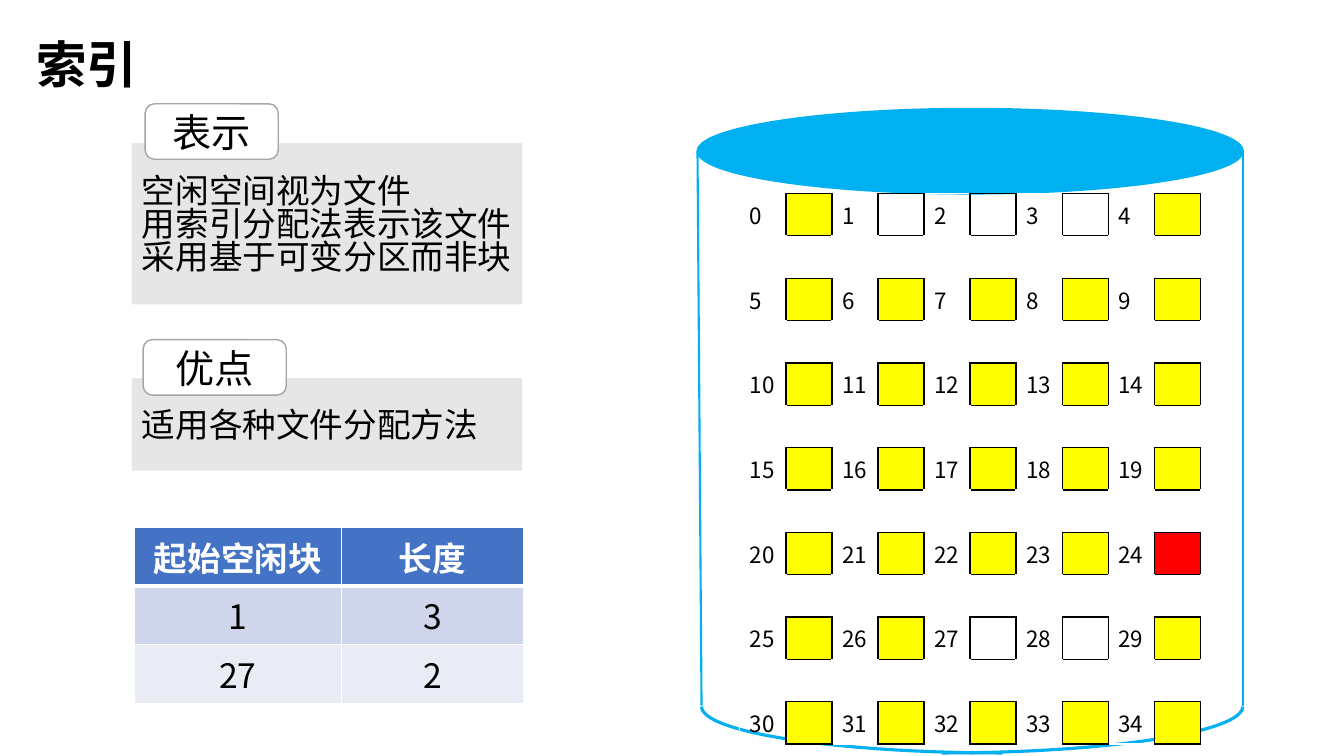
from lxml import etree
from pptx import Presentation
from pptx.dml.color import RGBColor
from pptx.enum.shapes import MSO_CONNECTOR, MSO_SHAPE
from pptx.enum.text import MSO_ANCHOR, PP_ALIGN
from pptx.oxml.ns import qn
from pptx.util import Pt

# Content
TITLE = "索引"
PANELS = [  # label, label box, lines, body box, line spacing, top inset
    ("表示", (103.68, 74.16, 95.04, 39.6),
     ["空闲空间视为文件", "用索引分配法表示该文件", "采用基于可变分区而非块"],
     (94.32, 102.24, 278.64, 115.2), 0.82, 7.2),
    ("优点", (102.24, 242.64, 102.24, 39.6),
     ["适用各种文件分配方法"], (94.32, 270, 278.64, 66.24), 1.0, 3.6),
]
FREE_EXTENTS = [("起始空闲块", "长度"), (1, 3), (27, 2)]  # start, length
INDEX_BLOCK = 24
BLOCK_ROWS, BLOCKS_PER_ROW = 7, 5

# Style
FONT = "Noto Sans CJK SC"
BLACK = RGBColor(0x00, 0x00, 0x00)
WHITE = RGBColor(0xFF, 0xFF, 0xFF)
PANEL_GRAY = RGBColor(0xE7, 0xE6, 0xE6)
LABEL_EDGE = RGBColor(0xA5, 0xA5, 0xA5)
DISK_BLUE = RGBColor(0x00, 0xB0, 0xF0)
USED_YELLOW = RGBColor(0xFF, 0xFF, 0x00)
INDEX_RED = RGBColor(0xFF, 0x00, 0x00)
HEADER_BLUE = RGBColor(0x44, 0x72, 0xC4)
EXTENT_FILLS = [HEADER_BLUE, RGBColor(0xCF, 0xD5, 0xEA), RGBColor(0xE9, 0xEB, 0xF5)]

presentation = Presentation()
presentation.slide_width, presentation.slide_height = Pt(960), Pt(540)
slide = presentation.slides.add_slide(presentation.slide_layouts[6])


def write(text_frame, lines, size, color=BLACK, bold=False, align=PP_ALIGN.LEFT, spacing=None):
    text_frame.text = "\n".join(lines)
    for paragraph in text_frame.paragraphs:
        paragraph.alignment = align
        if spacing:
            paragraph.line_spacing = spacing
        for run in paragraph.runs:
            run.font.size, run.font.bold, run.font.name = Pt(size), bold, FONT
            run.font.color.rgb = color
            etree.SubElement(run.font._element, qn("a:ea"), typeface=FONT)


def add_shape(kind, box, fill=None, line=None, width=1):
    shape = slide.shapes.add_shape(kind, *map(Pt, box))
    shape.shadow.inherit = False
    if fill is None:
        shape.fill.background()
    else:
        shape.fill.solid()
        shape.fill.fore_color.rgb = fill
    if line is None:
        shape.line.fill.background()
    else:
        shape.line.color.rgb, shape.line.width = line, Pt(width)
    frame = shape.text_frame
    frame.word_wrap, frame.vertical_anchor = True, MSO_ANCHOR.MIDDLE
    return shape


def add_table(rows, columns, left, top, widths, height):
    table = slide.shapes.add_table(rows, columns, Pt(left), Pt(top),
                                   Pt(sum(widths)), Pt(rows * height)).table
    table.first_row = table.horz_banding = False
    for column, width in zip(table.columns, widths):
        column.width = Pt(width)
    for row in table.rows:
        row.height = Pt(height)
    return table


def style_cell(cell, fill, borders):
    """Borders are (color, width) pairs for left, right, top and bottom."""
    properties = cell._tc.get_or_add_tcPr()
    for side, (color, width) in zip("LRTB", borders):
        line = etree.SubElement(properties, qn(f"a:ln{side}"), w=str(Pt(width)))
        solid = etree.SubElement(line, qn("a:solidFill"))
        etree.SubElement(solid, qn("a:srgbClr"), val=str(color))
    if fill is None:
        cell.fill.background()
    else:
        cell.fill.solid()
        cell.fill.fore_color.rgb = fill


# Title
title = slide.shapes.add_textbox(Pt(18.72), Pt(10.08), Pt(246.24), Pt(75.6)).text_frame
title.word_wrap, title.vertical_anchor = True, MSO_ANCHOR.MIDDLE
write(title, [TITLE], 36, bold=True, spacing=0.9)

# Panels with their labels
for label, label_box, lines, body_box, spacing, top_inset in PANELS:
    body = add_shape(MSO_SHAPE.RECTANGLE, body_box, PANEL_GRAY).text_frame
    body.margin_right, body.margin_top = 0, Pt(top_inset)
    write(body, lines, 24, spacing=spacing)
    tag = add_shape(MSO_SHAPE.ROUNDED_RECTANGLE, label_box, WHITE, LABEL_EDGE).text_frame
    tag.margin_top = tag.margin_bottom = 0
    write(tag, [label], 28, align=PP_ALIGN.CENTER)

# Disk cylinder
add_shape(MSO_SHAPE.OVAL, (498.24, 77.76, 389.52, 60.48), DISK_BLUE, DISK_BLUE, 1.5)
for left, flips in [(457.92, ["flipV"]), (501.12, ["flipH", "flipV"])]:
    arc = add_shape(MSO_SHAPE.ARC, (left, 471.6, 429.84, 66.24), None, DISK_BLUE, 2.25)
    arc.adjustments[0], arc.adjustments[1] = 162.23, 0
    for flip in flips:
        arc.element.spPr.get_or_add_xfrm().set(flip, "1")
for top_x, bottom_x in [(498.24, 501.12), (887.76, 887.76)]:
    side = slide.shapes.add_connector(MSO_CONNECTOR.STRAIGHT, Pt(top_x), Pt(108),
                                      Pt(bottom_x), Pt(504))
    side.line.color.rgb, side.line.width = DISK_BLUE, Pt(1.5)
    etree.SubElement(side.element.spPr, qn("a:effectLst"))


# Disk blocks: number and box alternate along a row, gap rows lie between
def is_box(row, column):
    return row % 2 == 0 and column % 2 == 1 and column > 0


free_blocks = {start + i for start, length in FREE_EXTENTS[1:] for i in range(length)}
grid_rows, grid_columns = 2 * BLOCK_ROWS - 1, 2 * BLOCKS_PER_ROW
blocks = add_table(grid_rows, grid_columns, 528.48, 138.24, [32.9] * grid_columns, 30.25)
for row in range(grid_rows):
    for column in range(grid_columns):
        cell = blocks.cell(row, column)
        block = row // 2 * BLOCKS_PER_ROW + column // 2
        fill = None
        if is_box(row, column) and block not in free_blocks:
            fill = INDEX_RED if block == INDEX_BLOCK else USED_YELLOW
        neighbours = [(row, column - 1), (row, column + 1), (row - 1, column), (row + 1, column)]
        borders = [(BLACK if is_box(row, column) or is_box(*near) else WHITE, 1)
                   for near in neighbours]
        style_cell(cell, fill, borders)
        if row % 2 == 0 and column % 2 == 0:
            write(cell.text_frame, [str(block)], 16)
        else:
            etree.SubElement(cell.text_frame.paragraphs[0]._p, qn("a:endParaRPr"), sz="1200")

# Free extent table
extents = add_table(len(FREE_EXTENTS), 2, 95.76, 376.56, [148.32, 129.6], 41.9)
for row, (values, fill) in enumerate(zip(FREE_EXTENTS, EXTENT_FILLS)):
    header = row == 0
    borders = [(WHITE, 1), (WHITE, 1), (WHITE, 3 if row == 1 else 1), (WHITE, 3 if header else 1)]
    for column, value in enumerate(values):
        cell = extents.cell(row, column)
        style_cell(cell, fill, borders)
        cell.vertical_anchor = MSO_ANCHOR.MIDDLE
        write(cell.text_frame, [str(value)], 24, WHITE if header else BLACK, header,
              PP_ALIGN.CENTER)

presentation.save("out.pptx")
